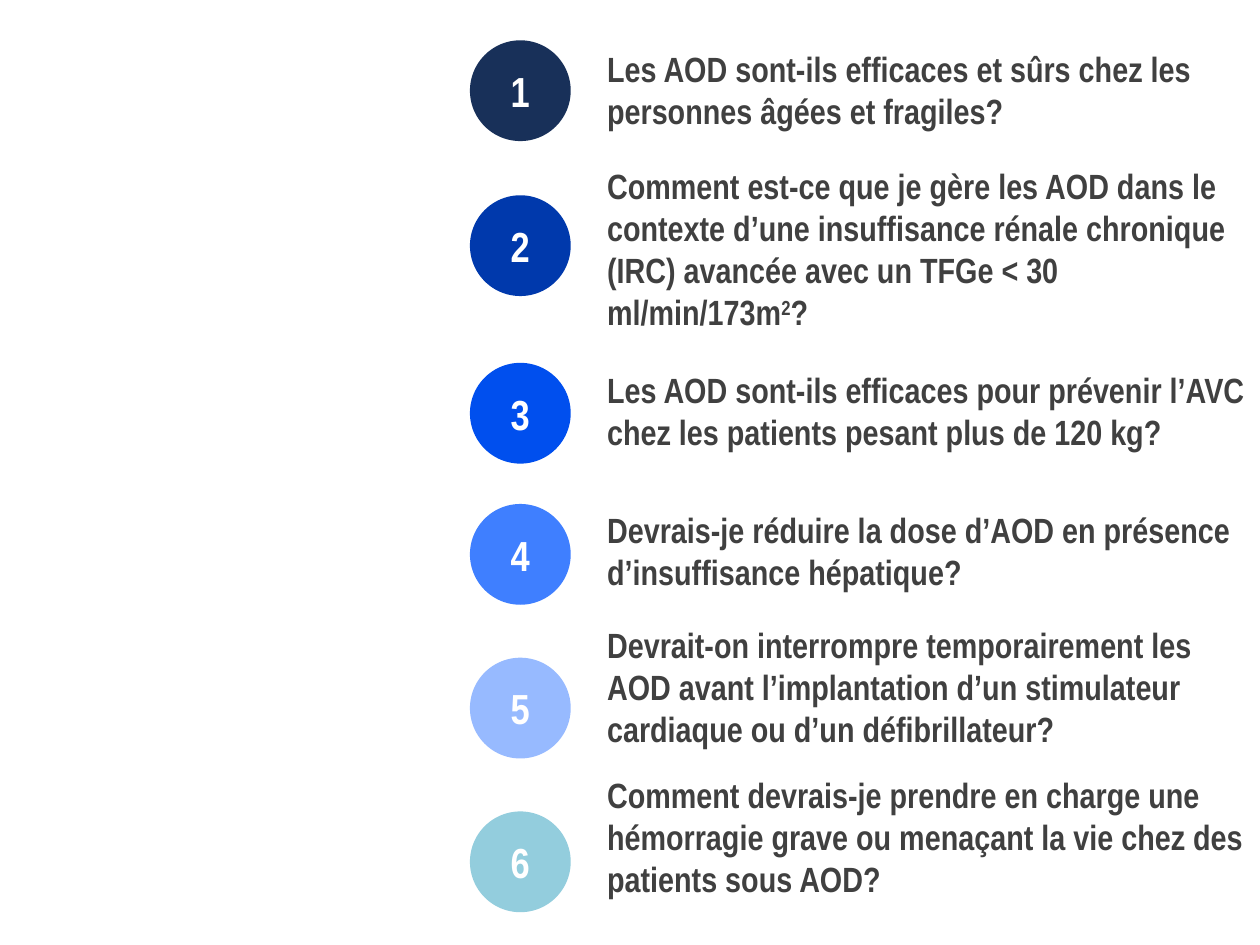
import pptx
import pptx.dml.color
import pptx.enum.shapes
import pptx.enum.text
import pptx.oxml
import pptx.oxml.ns
import pptx.util
from dataclasses import dataclass

# Slide grid: square cells, 1000 columns by 750 rows
COLS, ROWS = 1000, 750
CELL = pptx.util.Inches(10) // COLS


@dataclass(frozen=True)
class Theme:
    font: str = "Arial Narrow"
    text: str = "404040"
    white: str = "FFFFFF"
    panel_alpha: int = 83
    number_size: int = 24
    question_size: int = 20


@dataclass(frozen=True)
class Question:
    badge_row: int
    text_row: int
    lines: int
    color: str
    text: str
    superscript: str = ""
    ending: str = ""


THEME = Theme()
PANEL_COL = 345
BADGE_COL, BADGE_SIZE = 373, 80
TEXT_COL, TEXT_WIDTH = 472, 534
LINE_ROWS, INSET_ROWS = 33.5, 10

QUESTIONS = [
    Question(32, 32, 2, "183059",
             "Les AOD sont-ils efficaces et sûrs chez les personnes âgées et fragiles?"),
    Question(155, 125, 4, "0039AC",
             "Comment est-ce que je gère les AOD dans le contexte d’une insuffisance "
             "rénale chronique (IRC) avancée avec un TFGe < 30 ml/min/173m", "2", "?"),
    Question(288, 287, 2, "004FEE",
             "Les AOD sont-ils efficaces pour prévenir l’AVC chez les patients pesant "
             "plus de 120 kg?"),
    Question(400, 398, 2, "3F7FFF",
             "Devrais-je réduire la dose d’AOD en présence d’insuffisance hépatique?"),
    Question(522, 489, 3, "97BAFF",
             "Devrait-on interrompre temporairement les AOD avant l’implantation d’un "
             "stimulateur cardiaque ou d’un défibrillateur?"),
    Question(644, 608, 3, "93CDDD",
             "Comment devrais-je prendre en charge une hémorragie grave ou menaçant la "
             "vie chez des patients sous AOD?"),
]


def grid(*cells: float) -> list[pptx.util.Emu]:
    return [pptx.util.Emu(round(n * CELL)) for n in cells]


def rgb(color: str) -> pptx.dml.color.RGBColor:
    return pptx.dml.color.RGBColor.from_string(color)


def style(p, size: int, color: str) -> None:
    p.font.name = THEME.font
    p.font.size = pptx.util.Pt(size)
    p.font.bold = True
    p.font.color.rgb = rgb(color)


def add_filled(slide, kind, box: list, color: str):
    sp = slide.shapes.add_shape(kind, *box)
    sp.shadow.inherit = False
    sp.fill.solid()
    sp.fill.fore_color.rgb = rgb(color)
    sp.line.fill.background()
    return sp


def add_panel(slide) -> None:
    sp = add_filled(slide, pptx.enum.shapes.MSO_SHAPE.RECTANGLE,
                    grid(PANEL_COL, 0, COLS - PANEL_COL, ROWS), THEME.white)
    clr = sp.fill._xPr.find(".//" + pptx.oxml.ns.qn("a:srgbClr"))
    alpha = pptx.oxml.parse_xml(
        f'<a:alpha {pptx.oxml.ns.nsdecls("a")} val="{THEME.panel_alpha * 1000}"/>')
    clr.append(alpha)


def add_badge(slide, number: int, q: Question) -> None:
    sp = add_filled(slide, pptx.enum.shapes.MSO_SHAPE.OVAL,
                    grid(BADGE_COL, q.badge_row, BADGE_SIZE, BADGE_SIZE), q.color)
    tf = sp.text_frame
    tf.vertical_anchor = pptx.enum.text.MSO_ANCHOR.MIDDLE
    p = tf.paragraphs[0]
    p.text = str(number)
    p.alignment = pptx.enum.text.PP_ALIGN.CENTER
    style(p, THEME.number_size, THEME.white)


def add_question(slide, q: Question) -> None:
    height = q.lines * LINE_ROWS + INSET_ROWS
    sp = slide.shapes.add_textbox(*grid(TEXT_COL, q.text_row, TEXT_WIDTH, height))
    tf = sp.text_frame
    tf.word_wrap = True
    tf.auto_size = pptx.enum.text.MSO_AUTO_SIZE.SHAPE_TO_FIT_TEXT
    tf.vertical_anchor = pptx.enum.text.MSO_ANCHOR.BOTTOM
    p = tf.paragraphs[0]
    style(p, THEME.question_size, THEME.text)
    p.add_run().text = q.text
    if q.superscript:
        r = p.add_run()
        r.text = q.superscript
        r.font._element.set("baseline", "30000")
        p.add_run().text = q.ending


def main() -> None:
    prs = pptx.Presentation()
    prs.slide_width, prs.slide_height = grid(COLS, ROWS)
    slide = prs.slides.add_slide(prs.slide_layouts[6])

    # Translucent panel behind the list
    add_panel(slide)

    # Numbered questions
    for number, q in enumerate(QUESTIONS, start=1):
        add_badge(slide, number, q)
        add_question(slide, q)

    prs.save("out.pptx")


if __name__ == "__main__":
    main()
